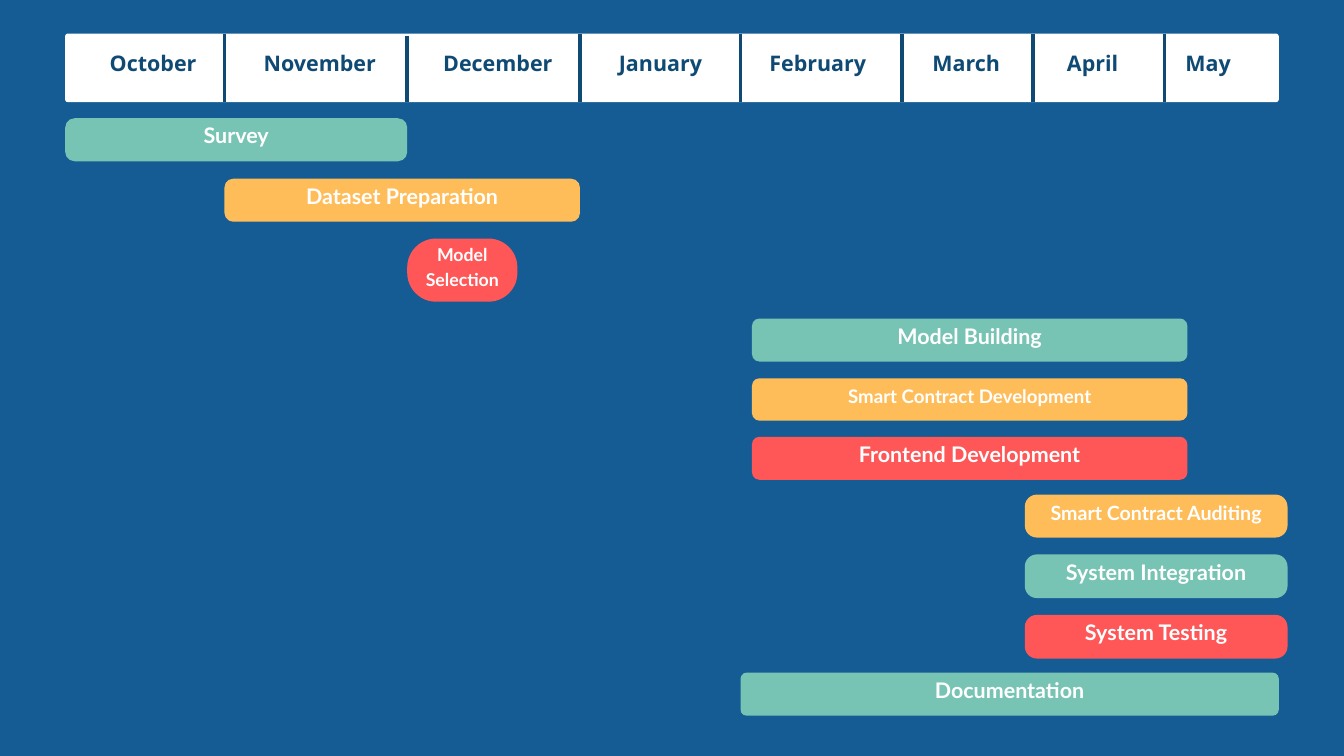
from dataclasses import dataclass

from lxml import etree
from pptx import Presentation
from pptx.dml.color import RGBColor
from pptx.enum.shapes import MSO_CONNECTOR, MSO_SHAPE
from pptx.enum.text import MSO_ANCHOR, PP_ALIGN
from pptx.oxml.ns import qn
from pptx.util import Pt

PX = 9144  # 100 px to the inch
INSET = 6

BLUE = RGBColor(0x15, 0x5C, 0x94)
NAVY = RGBColor(0x0E, 0x4A, 0x74)
WHITE = RGBColor(0xFF, 0xFF, 0xFF)
GREEN = RGBColor(0x77, 0xC4, 0xB5)
AMBER = RGBColor(0xFF, 0xBD, 0x59)
RED = RGBColor(0xFF, 0x57, 0x57)

ROUND = MSO_SHAPE.ROUNDED_RECTANGLE
STRAIGHT = MSO_CONNECTOR.STRAIGHT
LEFT, CENTER = PP_ALIGN.LEFT, PP_ALIGN.CENTER
MIDDLE = MSO_ANCHOR.MIDDLE


@dataclass(frozen=True)
class Box:
    left: int
    top: int
    width: int
    height: int

    def emu(self) -> list[int]:
        return [n * PX for n in (self.left, self.top, self.width, self.height)]

    def raised(self, rise: int) -> "Box":
        """The same box with its top edge moved up."""
        return Box(self.left, self.top - rise, self.width, self.height + rise)


@dataclass(frozen=True)
class Month:
    name: str
    mid: int


@dataclass(frozen=True)
class Rule:
    left: int
    top: int = 50


@dataclass(frozen=True)
class Task:
    name: str
    box: Box
    color: RGBColor
    radius: int
    size: int = 23
    rise: int = 20


HEADER = Box(97, 50, 1806, 102)

MONTHS = [
    Month("October", 228), Month("November", 476),
    Month("December", 741), Month("January", 983),
    Month("February", 1217), Month("March", 1438),
    Month("April", 1626), Month("May", 1798),
]

RULES = [Rule(334), Rule(606, top=53), Rule(863), Rule(1102),
         Rule(1342), Rule(1537), Rule(1733)]

TASKS = [
    Task("Survey", Box(97, 176, 509, 64), GREEN, 14),
    Task("Dataset Preparation", Box(334, 266, 529, 64), AMBER, 13),
    Task("Model Selection", Box(606, 355, 164, 94), RED, 43, 19, 16),
    Task("Model Building", Box(1119, 474, 648, 64), GREEN, 11),
    Task("Smart Contract Development", Box(1119, 563, 648, 63), AMBER, 11, 20, 16),
    Task("Frontend Development", Box(1119, 650, 648, 64), RED, 11),
    Task("Smart Contract Auditing", Box(1525, 736, 391, 64), AMBER, 18, 21, 16),
    Task("System Integration", Box(1525, 825, 391, 65), GREEN, 18),
    Task("System Testing", Box(1525, 915, 391, 65), RED, 18),
    Task("Documentation", Box(1102, 1001, 801, 64), GREEN, 9),
]


def add_bar(shapes, box: Box, color: RGBColor, radius: int) -> None:
    bar = shapes.add_shape(ROUND, *box.emu())
    bar.adjustments[0] = radius / min(box.width, box.height)
    bar.fill.solid()
    bar.fill.fore_color.rgb = color
    bar.line.fill.background()
    bar.shadow.inherit = False


def add_text(shapes, text: str, box: Box, *, size: int, font: str = "Lato",
             color: RGBColor = WHITE, align=CENTER, tabs: tuple[int, ...] = ()) -> None:
    """Bold text in the middle of a box; tabs are centred stops in px."""
    frame = shapes.add_textbox(*box.emu()).text_frame
    frame.word_wrap = True
    frame.vertical_anchor = MIDDLE
    frame.margin_left = frame.margin_right = INSET * PX
    frame.margin_top = frame.margin_bottom = INSET * PX
    para = frame.paragraphs[0]
    para.alignment = align
    para.line_spacing = Pt(size * 1.4)
    if tabs:
        stops = etree.SubElement(para._p.get_or_add_pPr(), qn("a:tabLst"))
        for stop in tabs:
            etree.SubElement(stops, qn("a:tab"), pos=str(stop * PX), algn="ctr")
    run = para.add_run()
    run.text = text
    run.font.name = font
    run.font.size = Pt(size)
    run.font.bold = True
    run.font.color.rgb = color


def add_rule(shapes, rule: Rule) -> None:
    left, end = rule.left * PX, (HEADER.top + HEADER.height) * PX
    line = shapes.add_connector(STRAIGHT, left, rule.top * PX, left, end)
    line.line.color.rgb = NAVY
    line.line.width = Pt(4)
    etree.SubElement(line._element.spPr, qn("a:effectLst"))


def add_header(slide) -> None:
    shapes = slide.shapes.add_group_shape().shapes
    add_bar(shapes, HEADER, WHITE, 4)
    start = HEADER.left + INSET
    add_text(shapes, "".join(f"\t{month.name}" for month in MONTHS),
             HEADER.raised(20), size=23, font="Open Sans", color=NAVY,
             align=LEFT, tabs=tuple(month.mid - start for month in MONTHS))
    for rule in RULES:
        add_rule(shapes, rule)


def add_task(slide, task: Task) -> None:
    shapes = slide.shapes.add_group_shape().shapes
    add_bar(shapes, task.box, task.color, task.radius)
    add_text(shapes, task.name, task.box.raised(task.rise), size=task.size)


def main() -> None:
    deck = Presentation()
    deck.slide_width, deck.slide_height = 2000 * PX, 1125 * PX
    slide = deck.slides.add_slide(deck.slide_layouts[6])
    slide.background.fill.solid()
    slide.background.fill.fore_color.rgb = BLUE
    add_header(slide)
    for task in TASKS:
        add_task(slide, task)
    deck.save("out.pptx")


if __name__ == "__main__":
    main()
